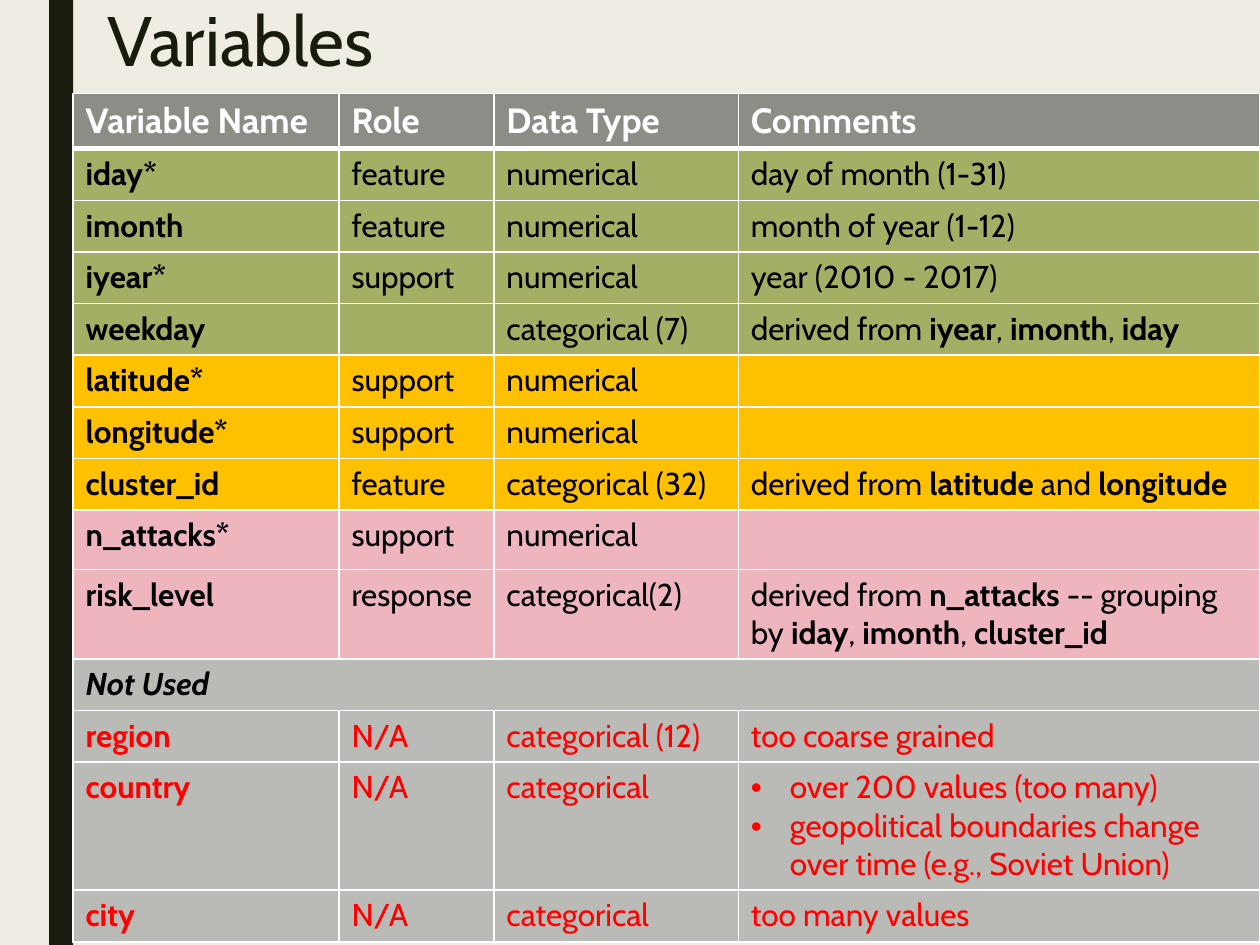
from lxml.etree import SubElement
from pptx import Presentation
from pptx.dml.color import RGBColor
from pptx.enum.shapes import MSO_SHAPE as Shape
from pptx.enum.text import MSO_ANCHOR as Anchor, PP_ALIGN as Align
from pptx.oxml.ns import qn
from pptx.util import Inches, Pt

FONT = "Cabin"
CREAM = RGBColor(0xEF, 0xED, 0xE3)
DARK = RGBColor(0x19, 0x1B, 0x0E)
WHITE = RGBColor(0xFF, 0xFF, 0xFF)
BLACK = RGBColor(0, 0, 0)
RED = RGBColor(0xFF, 0, 0)
HEADER = RGBColor(0x8C, 0x8D, 0x86)
GREEN = RGBColor(0xA3, 0xAF, 0x65)
AMBER = RGBColor(0xFF, 0xC0, 0)
PINK = RGBColor(0xEE, 0xB5, 0xBF)
GRAY = RGBColor(0xBA, 0xBB, 0xB6)

COLUMNS = [2.11, 1.23, 1.94, 4.14]
ROW_HEIGHT = 0.41
TALL_ROWS = {0: 0.44, 8: 0.41, 9: 0.71, 12: 0.96}
TALL_ROWS[8] = 0.47

# Text between bars is bold; a line break starts a bulleted paragraph
GROUPS = [
    (GREEN, BLACK, [
        ("|iday*|", "feature", "numerical", "day of month (1-31)"),
        ("|imonth|", "feature", "numerical", "month of year (1-12)"),
        ("|iyear*|", "support", "numerical", "year (2010 - 2017)"),
        ("|weekday|", "", "categorical (7)",
         "derived from |iyear|, |imonth|, |iday|"),
    ]),
    (AMBER, BLACK, [
        ("|latitude*|", "support", "numerical", ""),
        ("|longitude*|", "support", "numerical", ""),
        ("|cluster_id|", "feature", "categorical (32)",
         "derived from |latitude| and |longitude|"),
    ]),
    (PINK, BLACK, [
        ("|n_attacks*|", "support", "numerical", ""),
        ("|risk_level|", "response", "categorical(2)",
         "derived from |n_attacks| -- grouping by |iday|, |imonth|, |cluster_id|"),
    ]),
    (GRAY, BLACK, [("|Not Used|",)]),
    (GRAY, RED, [
        ("|region|", "N/A", "categorical (12)", "too coarse grained"),
        ("|country|", "N/A", "categorical",
         "over 200 values (too many)\n"
         "geopolitical boundaries change over time (e.g., Soviet Union)"),
        ("|city|", "N/A", "categorical", "too many values"),
    ]),
]


def add_bullet(p):
    pPr = p._p.get_or_add_pPr()
    pPr.set("marL", str(Inches(0.31)))
    pPr.set("indent", str(-Inches(0.31)))
    SubElement(pPr, qn("a:buFont"), typeface="Arial")
    SubElement(pPr, qn("a:buChar"), char="•")


def write(tf, text, size=18, color=BLACK, italic=False, spacing=None):
    lines = text.split("\n")
    for i, line in enumerate(lines):
        p = tf.paragraphs[0] if i == 0 else tf.add_paragraph()
        p.alignment = Align.LEFT
        if spacing:
            p.line_spacing = spacing
        if len(lines) > 1:
            add_bullet(p)
        for j, part in enumerate(line.split("|")):
            if part:
                r = p.add_run()
                r.text = part
                r.font.name, r.font.size = FONT, Pt(size)
                r.font.bold, r.font.italic = j % 2 == 1, italic
                r.font.color.rgb = color


def set_borders(cell, top=1, bottom=1):
    tcPr = cell._tc.get_or_add_tcPr()
    widths = {"a:lnL": 1, "a:lnR": 1, "a:lnT": top, "a:lnB": bottom}
    for tag, width in widths.items():
        ln = SubElement(tcPr, qn(tag), w=str(Pt(width)))
        fill = SubElement(ln, qn("a:solidFill"))
        SubElement(fill, qn("a:srgbClr"), val=str(WHITE))


def add_title(slide, text):
    title = slide.shapes.title
    title.left, title.top = Inches(0.75), Inches(0)
    title.width, title.height = Inches(8.25), Inches(0.83)
    tf = title.text_frame
    tf.vertical_anchor = Anchor.TOP
    write(tf, text, size=40, color=DARK, spacing=0.89)


def add_side_bar(slide):
    sp = slide.shapes.add_shape(
        Shape.RECTANGLE, Inches(0.39), Inches(0), Inches(0.19), Inches(7.5))
    sp.shadow.inherit = False
    sp.fill.solid()
    sp.fill.fore_color.rgb = DARK
    sp.line.fill.background()


def add_variables_table(slide):
    header = tuple(f"|{name}|" for name in
                   ("Variable Name", "Role", "Data Type", "Comments"))
    rows = [(HEADER, WHITE, header)]
    rows += [(fill, color, texts)
             for fill, color, group in GROUPS for texts in group]
    heights = [TALL_ROWS.get(i, ROW_HEIGHT) for i in range(len(rows))]
    table = slide.shapes.add_table(
        len(rows), len(COLUMNS), Inches(0.58), Inches(0.74),
        Inches(sum(COLUMNS)), Inches(sum(heights))).table
    for column, width in zip(table.columns, COLUMNS):
        column.width = Inches(width)

    for i, (fill, color, texts) in enumerate(rows):
        table.rows[i].height = Inches(heights[i])
        section = len(texts) == 1
        if section:
            table.cell(i, 0).merge(table.cell(i, len(COLUMNS) - 1))
        for j in range(len(COLUMNS)):
            cell = table.cell(i, j)
            # The heavy rule lies between the header and the first row
            set_borders(cell, top=3 if i == 1 else 1, bottom=3 if i == 0 else 1)
            cell.fill.solid()
            cell.fill.fore_color.rgb = fill
            if j < len(texts):
                write(cell.text_frame, texts[j], size=20 if i == 0 else 18,
                      color=color, italic=section)


def main():
    prs = Presentation()
    prs.slide_width, prs.slide_height = Inches(10), Inches(7.5)
    slide = prs.slides.add_slide(prs.slide_layouts[5])
    slide.background.fill.solid()
    slide.background.fill.fore_color.rgb = CREAM
    add_side_bar(slide)
    add_title(slide, "Variables")
    add_variables_table(slide)
    prs.save("out.pptx")


if __name__ == "__main__":
    main()
